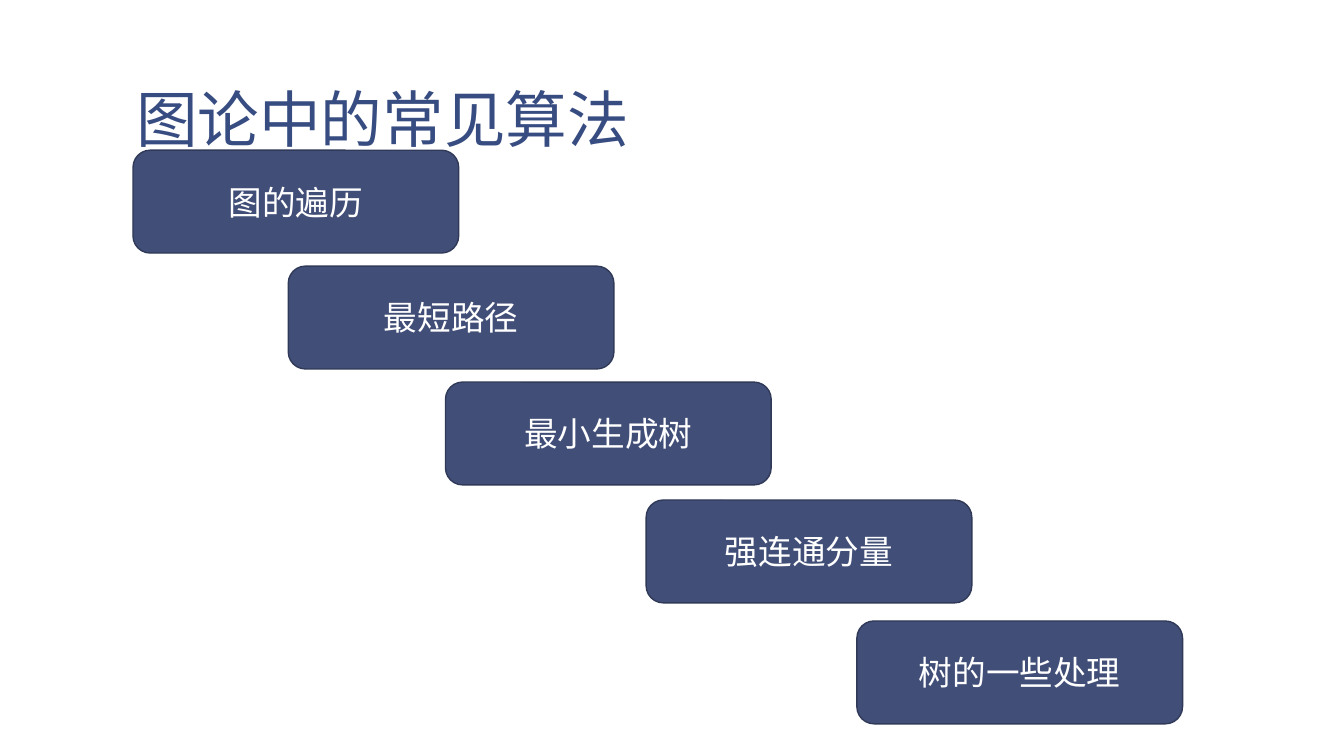
import dataclasses

import lxml.etree
import pptx
import pptx.dml.color
import pptx.enum.shapes
import pptx.enum.text
import pptx.oxml.ns
import pptx.util


@dataclasses.dataclass(frozen=True)
class Theme:
    """Colours, fonts and type sizes of the slide."""
    background: str = "FFFFFF"
    title: str = "374C81"
    step_fill: str = "414E77"
    step_line: str = "303A58"
    step_text: str = "FFFFFF"
    cjk_font: str = "Noto Sans CJK SC"
    latin_font: str = "TeX Gyre Adventor"
    title_size: int = 44
    step_size: int = 24


THEME = Theme()
SLIDE_WIDTH = pptx.util.Inches(13.33)
SLIDE_HEIGHT = pptx.util.Inches(7.5)

TITLE = "图论中的常见算法"
TITLE_BOX = (9.15, 1.07, 83.35, 20.4)
STAIRCASE_BOX = (9.9, 19.87, 78.09, 75.86)
STEP_SIZE = (24.23, 13.6)
ALGORITHMS = [
    ("图的遍历", 0, 0),
    ("最短路径", 11.55, 15.33),
    ("最小生成树", 23.25, 30.67),
    ("强连通分量", 38.18, 46.27),
    ("树的一些处理", 53.86, 62.27),
]


def rgb(code):
    """Turn a hex code into a colour."""
    return pptx.dml.color.RGBColor.from_string(code)


def place(left, top, width, height):
    """Convert percentages of the slide into lengths."""
    return (int(SLIDE_WIDTH * left / 100), int(SLIDE_HEIGHT * top / 100),
            int(SLIDE_WIDTH * width / 100), int(SLIDE_HEIGHT * height / 100))


def write(paragraph, wording, size, colour, latin_font):
    """Add one run with its Latin and East Asian fonts."""
    run = paragraph.add_run()
    run.text = wording
    run.font.size = pptx.util.Pt(size)
    run.font.color.rgb = rgb(colour)
    run.font.name = latin_font
    east_asian = lxml.etree.SubElement(run.font._element, pptx.oxml.ns.qn("a:ea"))
    east_asian.set("typeface", THEME.cjk_font)


def add_title(slide, box):
    """Write the heading at the bottom of its box."""
    frame = slide.shapes.add_textbox(*place(*box)).text_frame
    frame.word_wrap = True
    frame.vertical_anchor = pptx.enum.text.MSO_ANCHOR.BOTTOM
    frame.margin_left = frame.margin_right = pptx.util.Inches(0.13)
    frame.margin_top = frame.margin_bottom = pptx.util.Inches(0.07)
    heading = frame.paragraphs[0]
    heading.line_spacing = 0.85
    write(heading, TITLE, THEME.title_size, THEME.title, THEME.cjk_font)


def add_step(slide, box, algorithm):
    """Draw one rounded step with its centred label."""
    step = slide.shapes.add_shape(
        pptx.enum.shapes.MSO_SHAPE.ROUNDED_RECTANGLE, *place(*box))
    step.shadow.inherit = False
    step.fill.solid()
    step.fill.fore_color.rgb = rgb(THEME.step_fill)
    step.line.color.rgb = rgb(THEME.step_line)
    step.line.width = pptx.util.Pt(1)
    step.text_frame.word_wrap = True
    step.text_frame.vertical_anchor = pptx.enum.text.MSO_ANCHOR.MIDDLE
    label = step.text_frame.paragraphs[0]
    label.alignment = pptx.enum.text.PP_ALIGN.CENTER
    write(label, algorithm, THEME.step_size, THEME.step_text, THEME.latin_font)


def add_staircase(slide, box):
    """Place the algorithms as descending steps inside the box."""
    left, top = box[:2]
    for algorithm, across, down in ALGORITHMS:
        add_step(slide, (left + across, top + down, *STEP_SIZE), algorithm)


def main():
    """Build and save the presentation."""
    presentation = pptx.Presentation()
    presentation.slide_width = SLIDE_WIDTH
    presentation.slide_height = SLIDE_HEIGHT
    slide = presentation.slides.add_slide(presentation.slide_layouts[6])
    slide.background.fill.solid()
    slide.background.fill.fore_color.rgb = rgb(THEME.background)
    add_title(slide, TITLE_BOX)
    add_staircase(slide, STAIRCASE_BOX)
    presentation.save("out.pptx")


if __name__ == "__main__":
    main()
